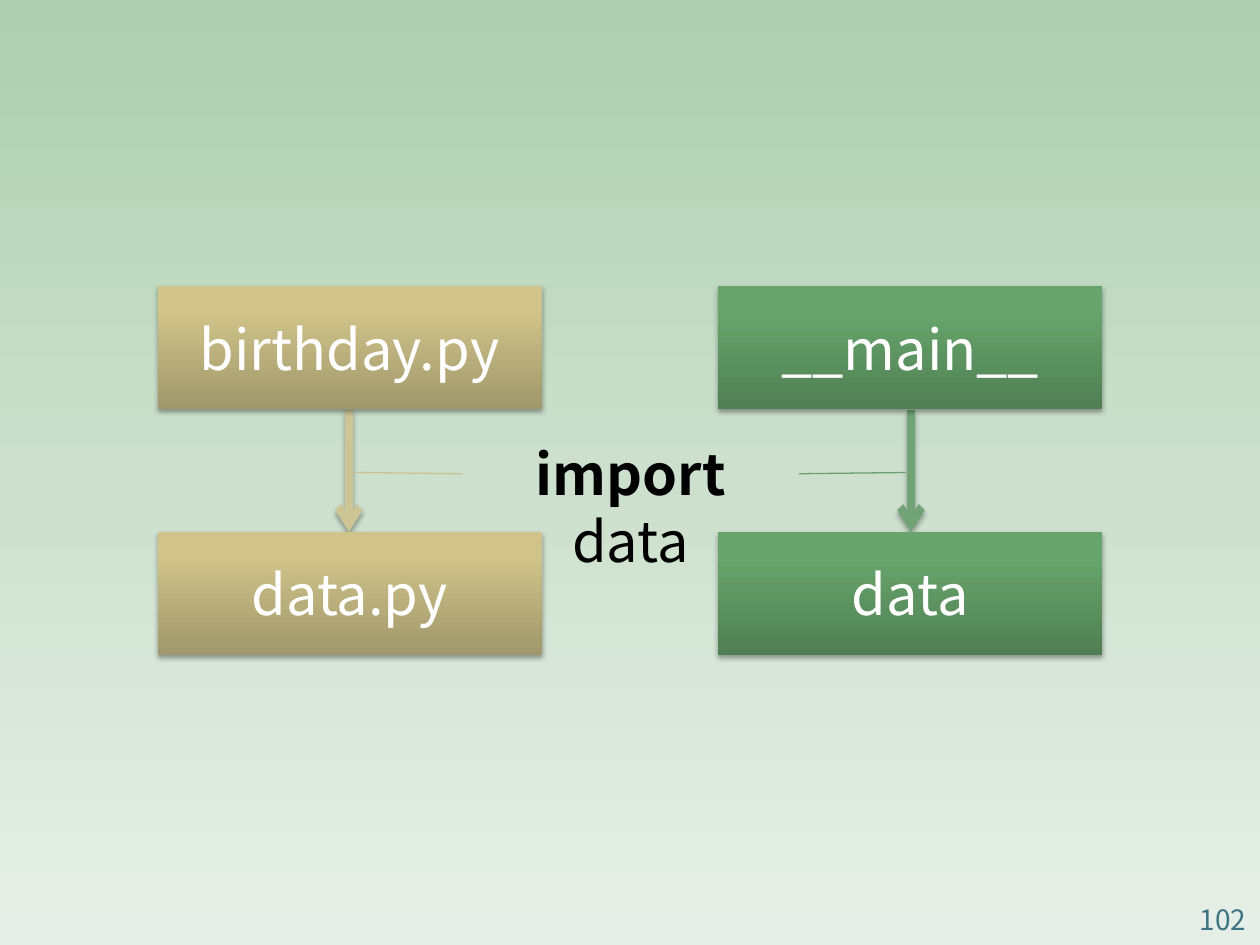
from lxml.etree import SubElement
from pptx import Presentation
from pptx.dml.color import RGBColor
from pptx.enum.shapes import MSO_CONNECTOR, MSO_SHAPE
from pptx.enum.text import MSO_ANCHOR, PP_ALIGN
from pptx.oxml.ns import qn
from pptx.util import Inches, Pt

FONT = "Noto Sans CJK KR"
BLACK = RGBColor(0x00, 0x00, 0x00)
WHITE = RGBColor(0xFF, 0xFF, 0xFF)
TEAL = RGBColor(0x3C, 0x74, 0x83)
SAND_ARROW = RGBColor(0xCE, 0xC5, 0x97)
SAND_LINE = RGBColor(0xCB, 0xC2, 0x92)
GREEN_ARROW = RGBColor(0x72, 0xA3, 0x76)
GREEN_LINE = RGBColor(0x6E, 0xA1, 0x72)

# Gradients: (position in percent, colour)
BACKDROP = [(0, RGBColor(0xAD, 0xCF, 0xAF)), (50, RGBColor(0xCC, 0xE0, 0xCD)),
            (100, RGBColor(0xE6, 0xEF, 0xE7))]
SAND = [(0, RGBColor(0xA0, 0x97, 0x6B)), (80, RGBColor(0xD0, 0xC4, 0x8A)),
        (100, RGBColor(0xD2, 0xC6, 0x8A))]
GREEN = [(0, RGBColor(0x50, 0x7F, 0x53)), (80, RGBColor(0x67, 0xA5, 0x6C)),
         (100, RGBColor(0x67, 0xA7, 0x6C))]

BOX_W, BOX_H = 3.05, 0.98
TOP_Y, BOTTOM_Y = 2.27, 4.22


def set_gradient(fill, element, stops, angle):
    fill.gradient()
    fill.gradient_angle = angle
    gs_list = next(element.iter(qn("a:gsLst")))
    for gs in list(gs_list):
        gs_list.remove(gs)
    for pos, color in stops:
        gs = SubElement(gs_list, qn("a:gs"), pos=str(pos * 1000))
        SubElement(gs, qn("a:srgbClr"), val=str(color))


def set_effects(sp, shadow):
    effects = SubElement(sp._element.spPr, qn("a:effectLst"))
    if shadow:
        outer = SubElement(effects, qn("a:outerShdw"), blurRad=str(Pt(3.1)),
                           dist=str(Pt(1.8)), dir="5400000", rotWithShape="0")
        clr = SubElement(outer, qn("a:srgbClr"), val=str(BLACK))
        SubElement(clr, qn("a:alpha"), val="35000")


def write_text(sp, runs, size, color, align=PP_ALIGN.CENTER,
               anchor=MSO_ANCHOR.MIDDLE):
    tf = sp.text_frame
    for name, value in {"word_wrap": True, "vertical_anchor": anchor}.items():
        setattr(tf, name, value)
    p = tf.paragraphs[0]
    p.alignment = align
    for text, bold in runs:
        r = p.add_run()
        r.text = text
        r.font.color.rgb = color
        font_format = {"name": FONT, "size": Pt(size), "bold": bold}
        for name, value in font_format.items():
            setattr(r.font, name, value)
        SubElement(r.font._element, qn("a:ea"), typeface=FONT)


def add_label(s, at, runs, size, color, **layout):
    sp = s.shapes.add_textbox(*map(Inches, at))
    write_text(sp, runs, size, color, **layout)


def add_box(s, x, y, text, stops):
    sp = s.shapes.add_shape(MSO_SHAPE.RECTANGLE, *map(Inches, (x, y, BOX_W, BOX_H)))
    set_gradient(sp.fill, sp._element, stops, 90)
    sp.line.fill.background()
    set_effects(sp, shadow=True)
    write_text(sp, [(text, False)], 32, WHITE)


def add_line(s, points, color, width, arrow=False):
    sp = s.shapes.add_connector(MSO_CONNECTOR.STRAIGHT, *map(Inches, points))
    sp.line.color.rgb = color
    sp.line.width = Pt(width)
    if arrow:
        SubElement(sp.line._get_or_add_ln(), qn("a:tailEnd"), type="arrow")
    set_effects(sp, shadow=arrow)


def main():
    prs = Presentation()
    prs.slide_width, prs.slide_height = Inches(10), Inches(7.5)
    s = prs.slides.add_slide(prs.slide_layouts[6])
    set_gradient(s.background.fill, s._element, BACKDROP, 270)

    # Slide number
    add_label(s, (7.66, 7.1, 2.33, 0.4), [("102", False)], 16, TEAL,
              align=PP_ALIGN.RIGHT)

    # Arrows between the boxes
    for x, color in ((2.77, SAND_ARROW), (7.23, GREEN_ARROW)):
        add_line(s, (x, TOP_Y + BOX_H, x, BOTTOM_Y), color, 4.5, arrow=True)

    # Import statement and its leader lines
    add_label(s, (3.67, 3.44, 2.67, 0.64), [("import", True), (" data", False)],
              32, BLACK, anchor=MSO_ANCHOR.TOP)
    add_line(s, (2.81, 3.75, 3.67, 3.76), SAND_LINE, 0.75)
    add_line(s, (6.34, 3.76, 7.19, 3.75), GREEN_LINE, 0.75)

    # Files on the left, modules on the right
    for x, stops, names in ((1.25, SAND, ("birthday.py", "data.py")),
                            (5.7, GREEN, ("__main__", "data"))):
        for y, name in zip((TOP_Y, BOTTOM_Y), names):
            add_box(s, x, y, name, stops)

    prs.save("out.pptx")


main()
